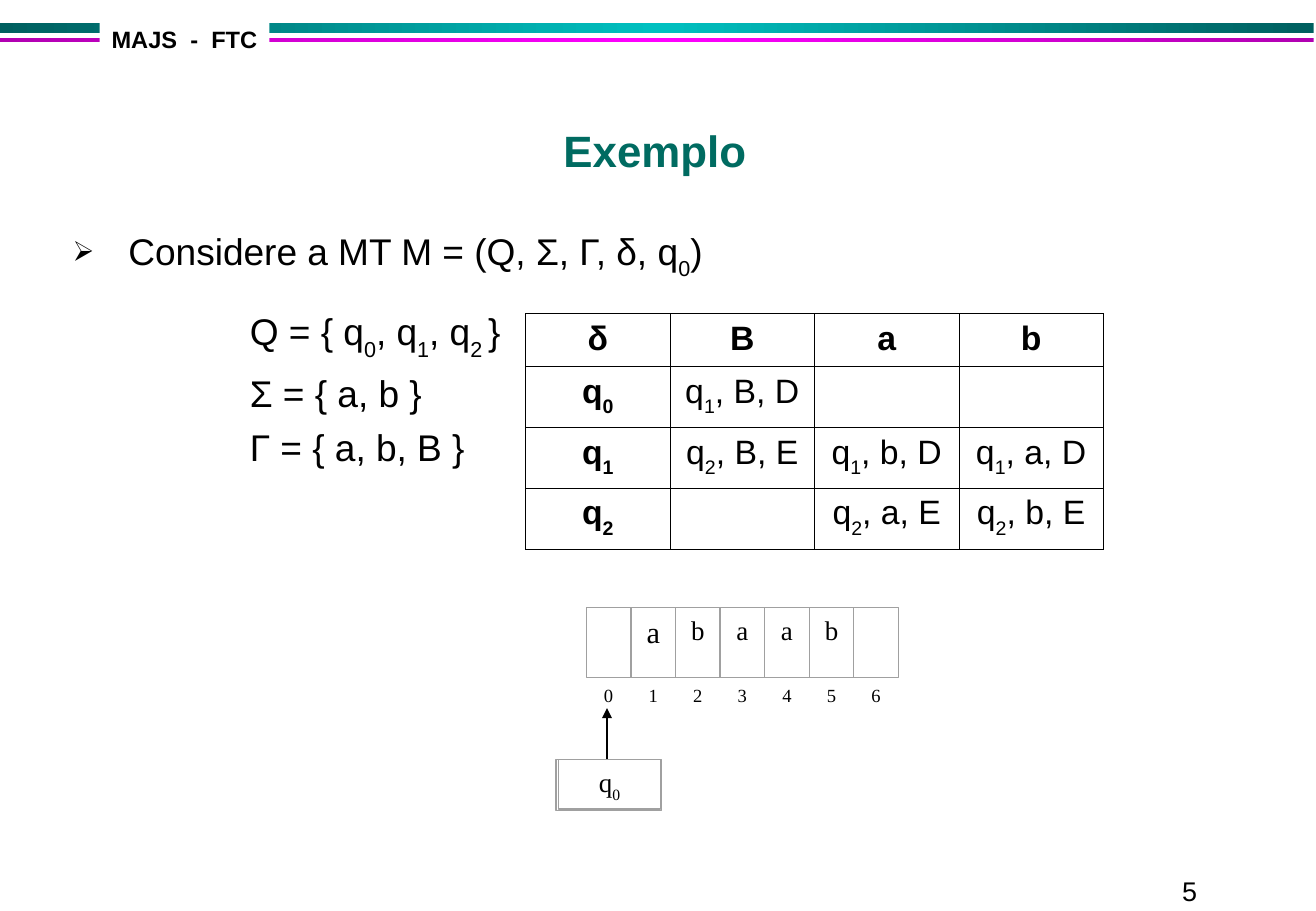
from copy import deepcopy
from dataclasses import dataclass

from lxml.etree import SubElement as Sub
from pptx import Presentation
from pptx.dml.color import RGBColor as Rgb
from pptx.enum.shapes import MSO_CONNECTOR as Link, MSO_SHAPE as Kind
from pptx.enum.text import MSO_ANCHOR as Anchor, PP_ALIGN as Align
from pptx.oxml import parse_xml
from pptx.oxml.ns import nsdecls, qn
from pptx.util import Inches, Pt

INK = {"black": "000000", "white": "FFFFFF", "title": "006B61", "grey": "A0A0A0",
       "teal": "005F5F", "aqua": "00C0C0", "plum": "B100B1", "pink": "FF00FF"}
SANS, SERIF = "Arial", "Times New Roman"


@dataclass
class Box:
    """A rectangle in inches, with optional text, fill and outline."""
    x: float
    y: float
    w: float
    h: float
    text: str = ""
    size: float = 16
    face: str = SERIF
    bold: bool = False
    ink: str = "black"
    align: Align = Align.CENTER
    anchor: Anchor = Anchor.TOP
    pad: float = 0.1
    fill: str = ""
    line: str = ""
    width: float = 0


@dataclass
class Bar:
    """A header stripe, shaded from its edges to its middle."""
    y: float
    h: float
    edge: str
    mid: str


def rgb(name: str) -> Rgb:
    """Look up a named colour."""
    return Rgb.from_string(INK[name])


def write(para, text: str, size: float, face: str = SANS, bold: bool = False,
          ink: str = "black", align: Align = Align.CENTER, gap: float = 0) -> None:
    """Fill a paragraph; parts between underscores are subscripts."""
    para.alignment = align
    para.space_before = Pt(gap)
    font = para.font
    font.size, font.name, font.bold = Pt(size), face, bold
    font.color.rgb = rgb(ink)
    for i, part in enumerate(text.split("_")):
        if part:
            run = para.add_run()
            run.text = part
            if i % 2:
                run._r.get_or_add_rPr().set("baseline", "-30000")


def draw(slide, box: Box) -> None:
    """Draw a box and its text."""
    shape = slide.shapes.add_shape(Kind.RECTANGLE, *map(Inches, (box.x, box.y, box.w, box.h)))
    shape.shadow.inherit = False
    if box.fill:
        shape.fill.solid()
        shape.fill.fore_color.rgb = rgb(box.fill)
    else:
        shape.fill.background()
    if box.line:
        shape.line.color.rgb = rgb(box.line)
        shape.line.width = Pt(box.width)
    else:
        shape.line.fill.background()
    if box.text:
        frame = shape.text_frame
        frame.word_wrap = True
        frame.vertical_anchor = box.anchor
        frame.margin_left = frame.margin_right = Inches(box.pad)
        write(frame.paragraphs[0], box.text, box.size, box.face, box.bold, box.ink, box.align)


def stripe(slide, bar: Bar) -> None:
    """Draw a header stripe with a three-stop gradient."""
    shape = slide.shapes.add_shape(Kind.RECTANGLE, 0, Inches(bar.y), Inches(10.82), Inches(bar.h))
    shape.shadow.inherit = False
    shape.line.fill.background()
    shape.fill.gradient()
    shape.fill.gradient_angle = 0
    stops = shape._element.spPr.find(qn("a:gradFill")).find(qn("a:gsLst"))
    stops.insert(1, deepcopy(stops[0]))
    for i, name in enumerate((bar.edge, bar.mid, bar.edge)):
        stop = shape.fill.gradient_stops[i]
        stop.position = i / 2
        stop.color.rgb = rgb(name)


def define(slide, lead: str, sets: list[str]) -> None:
    """Write the bulleted lead and the indented set definitions."""
    frame = slide.shapes.add_textbox(*map(Inches, (0.5, 1.83, 10, 5.08))).text_frame
    frame.word_wrap = True
    para = frame.paragraphs[0]
    write(para, lead, 22, align=Align.LEFT, gap=5.5)
    props = para._p.get_or_add_pPr()
    props.set("marL", str(Inches(0.46)))
    props.set("indent", str(Inches(-0.46)))
    last = props.find(qn("a:defRPr"))
    for tag in (f'buClr {nsdecls("a")}><a:srgbClr val="{INK["black"]}"/></a:buClr',
                f'buSzPct {nsdecls("a")} val="75000"/',
                f'buChar {nsdecls("a")} char="➢"/'):
        last.addprevious(parse_xml(f"<a:{tag}>"))
    for i, text in enumerate(sets):
        para = frame.add_paragraph()
        write(para, text, 22, align=Align.LEFT, gap=5.5 if i else 16.7)
        para._p.get_or_add_pPr().set("marL", str(Inches(1.46)))


def edge(cell) -> None:
    """Give a cell thin black borders."""
    props = cell._tc.get_or_add_tcPr()
    for i, side in enumerate(("lnL", "lnR", "lnT", "lnB")):
        props.insert(i, parse_xml(
            f'<a:{side} {nsdecls("a")} w="{Pt(0.45)}"><a:solidFill>'
            f'<a:srgbClr val="{INK["black"]}"/></a:solidFill></a:{side}>'))


def grid(slide, rows: list[list[str]]) -> None:
    """Draw the transition table."""
    table = slide.shapes.add_table(len(rows), len(rows[0]),
                                   *map(Inches, (4.33, 2.58, 4.76, 1.94))).table
    table.first_row = table.horz_banding = False
    for r, row in enumerate(rows):
        table.rows[r].height = Inches(0.5 if r else 0.44)
        for c, text in enumerate(row):
            cell = table.cell(r, c)
            cell.fill.background()
            edge(cell)
            write(cell.text_frame.paragraphs[0], text, 20, bold=r == 0 or c == 0, gap=5)


def tape(slide, marks: list[str]) -> None:
    """Draw the tape cells with their indices below."""
    step = 2.57 / len(marks)
    for i, mark in enumerate(marks):
        x = 4.83 + i * step
        draw(slide, Box(x, 5.58, step, 0.42, str(i), 11))
        draw(slide, Box(x, 5, step, 0.58, mark, 18 if i == 1 else 16, line="grey"))


def head(slide) -> None:
    """Draw the state box and its arrow to the tape."""
    draw(slide, Box(4.58, 6.25, 0.87, 0.42, line="grey", width=0.74))
    draw(slide, Box(4.6, 6.25, 0.84, 0.41, "q_0_", line="grey"))
    arrow = slide.shapes.add_connector(Link.STRAIGHT, *map(Inches, (5, 6.25, 5, 5.83)))
    arrow.line.color.rgb = rgb("black")
    arrow.line.width = Pt(0.99)
    Sub(arrow.line._get_or_add_ln(), qn("a:tailEnd"), type="triangle")
    Sub(arrow._element.spPr, qn("a:effectLst"))


deck = Presentation()
deck.slide_width, deck.slide_height = Inches(10.84), Inches(7.5)
slide = deck.slides.add_slide(deck.slide_layouts[6])

for bar in (Bar(0.19, 0.08, "teal", "aqua"), Bar(0.31, 0.04, "plum", "pink")):
    stripe(slide, bar)
for box in (
    Box(9.64, 7.15, 1.2, 0.36, "5", face=SANS, align=Align.LEFT),
    Box(0.82, 0.16, 1.4, 0.33, "MAJS  -  FTC", 14, SANS, True, pad=0, fill="white"),
    Box(0.79, 0.81, 9.21, 0.69, "Exemplo", 26, SANS, True, "title", anchor=Anchor.BOTTOM),
):
    draw(slide, box)

define(slide, "Considere a MT M = (Q, Σ, Γ, δ, q_0_)",
       ["Q = { q_0_, q_1_, q_2 _}", "Σ = { a, b }", "Γ = { a, b, B }"])
grid(slide, [
    ["δ", "B", "a", "b"],
    ["q_0_", "q_1_, B, D", "", ""],
    ["q_1_", "q_2_, B, E", "q_1_, b, D", "q_1_, a, D"],
    ["q_2_", "", "q_2_, a, E", "q_2_, b, E"],
])
tape(slide, ["", "a", "b", "a", "a", "b", ""])
head(slide)
deck.save("out.pptx")
